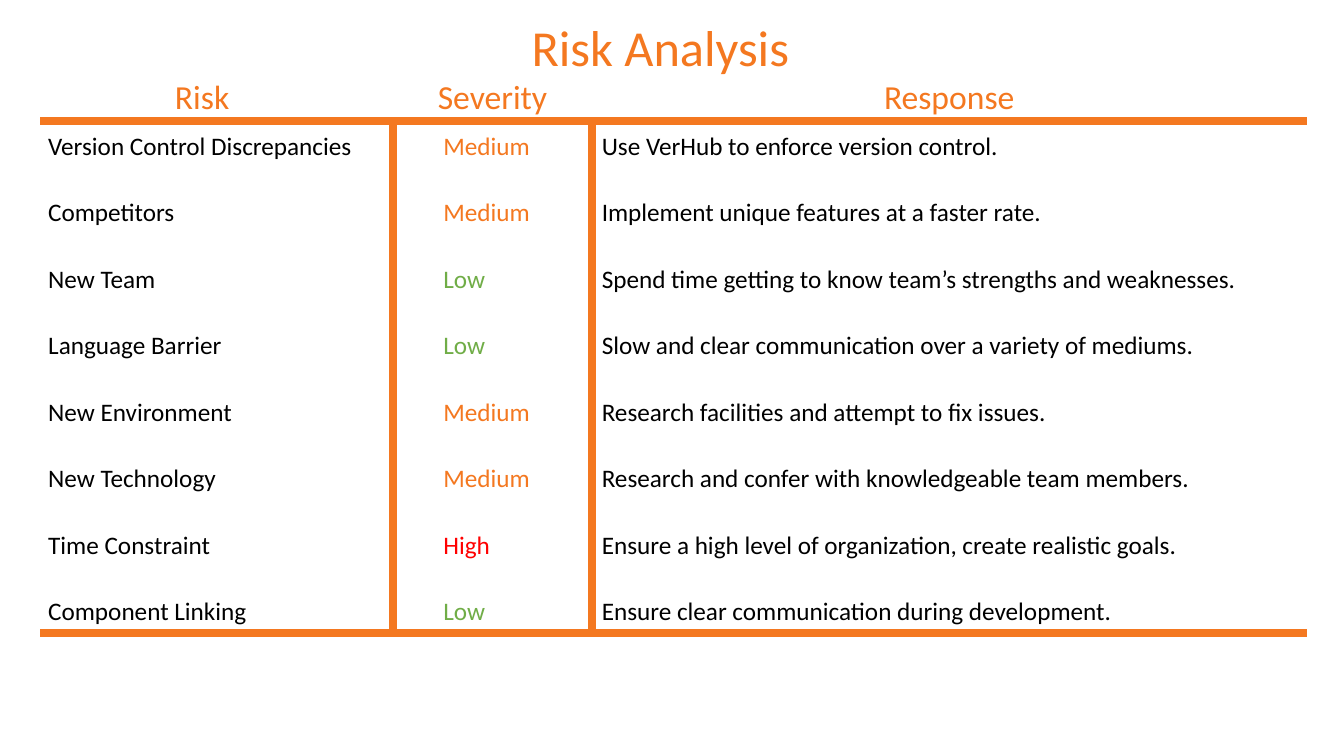
from lxml import etree
from pptx import Presentation
from pptx.dml.color import RGBColor
from pptx.enum.shapes import MSO_CONNECTOR
from pptx.enum.text import MSO_AUTO_SIZE, PP_ALIGN
from pptx.oxml.ns import qn
from pptx.util import Inches, Pt

COLORS = {
    "accent": "F47820",
    "body": "000000",
    "Low": "70AD47",
    "Medium": "F47820",
    "High": "FF0000",
}
TITLE = {"name": "Calibri", "size": Pt(36)}
HEADING = {"name": "Calibri", "size": Pt(24)}
BODY = {"name": "Calibri", "size": Pt(18)}

deck = Presentation()
deck.slide_width, deck.slide_height = Inches(13.33), Inches(7.5)
slide = deck.slides.add_slide(deck.slide_layouts[6])


def add_text(text, left, top, width, height, font_format, color, align=PP_ALIGN.LEFT):
    box = slide.shapes.add_textbox(*map(Inches, (left, top, width, height)))
    box.text_frame.word_wrap = True
    box.text_frame.auto_size = MSO_AUTO_SIZE.SHAPE_TO_FIT_TEXT
    paragraph = box.text_frame.paragraphs[0]
    paragraph.alignment = align
    run = paragraph.add_run()
    run.text = text
    for attribute, value in font_format.items():
        setattr(run.font, attribute, value)
    run.font.color.rgb = RGBColor.from_string(COLORS[color])


# Risk rows
risks = [
    ("Version Control Discrepancies", "Medium", "Use VerHub to enforce version control."),
    ("Competitors", "Medium", "Implement unique features at a faster rate."),
    ("New Team", "Low", "Spend time getting to know team’s strengths and weaknesses."),
    ("Language Barrier", "Low", "Slow and clear communication over a variety of mediums."),
    ("New Environment", "Medium", "Research facilities and attempt to fix issues."),
    ("New Technology", "Medium", "Research and confer with knowledgeable team members."),
    ("Time Constraint", "High", "Ensure a high level of organization, create realistic goals."),
    ("Component Linking", "Low", "Ensure clear communication during development."),
]
first_row, row_pitch, row_height = 1.24, 0.66, 0.4
for index, (risk, severity, response) in enumerate(risks):
    row_top = first_row + index * row_pitch
    add_text(risk, 0.38, row_top, 3.53, row_height, BODY, "body")
    add_text(severity, 4.3, row_top, 1.17, row_height, BODY, severity)
    add_text(response, 5.87, row_top, 7.08, row_height, BODY, "body")

# Column headings and title
for heading, left in (("Risk", 0.57), ("Severity", 3.45), ("Response", 7.98)):
    add_text(heading, left, 0.7, 2.87, 0.5, HEADING, "accent", PP_ALIGN.CENTER)
add_text("Risk Analysis", 4.57, 0.11, 3.96, 0.71, TITLE, "accent", PP_ALIGN.CENTER)

# Rules above and below the rows, and between the columns
left_edge, right_edge, top_rule, bottom_rule = 0.4, 12.96, 1.2, 6.28
rules = [
    (left_edge, top_rule, right_edge, top_rule),
    (3.9, bottom_rule, 3.9, top_rule),
    (5.87, bottom_rule, 5.87, top_rule),
    (left_edge, bottom_rule, right_edge, bottom_rule),
]
for ends in rules:
    rule = slide.shapes.add_connector(MSO_CONNECTOR.STRAIGHT, *map(Inches, ends))
    rule.line.color.rgb = RGBColor.from_string(COLORS["accent"])
    rule.line.width = Pt(6)
    etree.SubElement(rule._element.spPr, qn("a:effectLst"))

deck.save("out.pptx")
